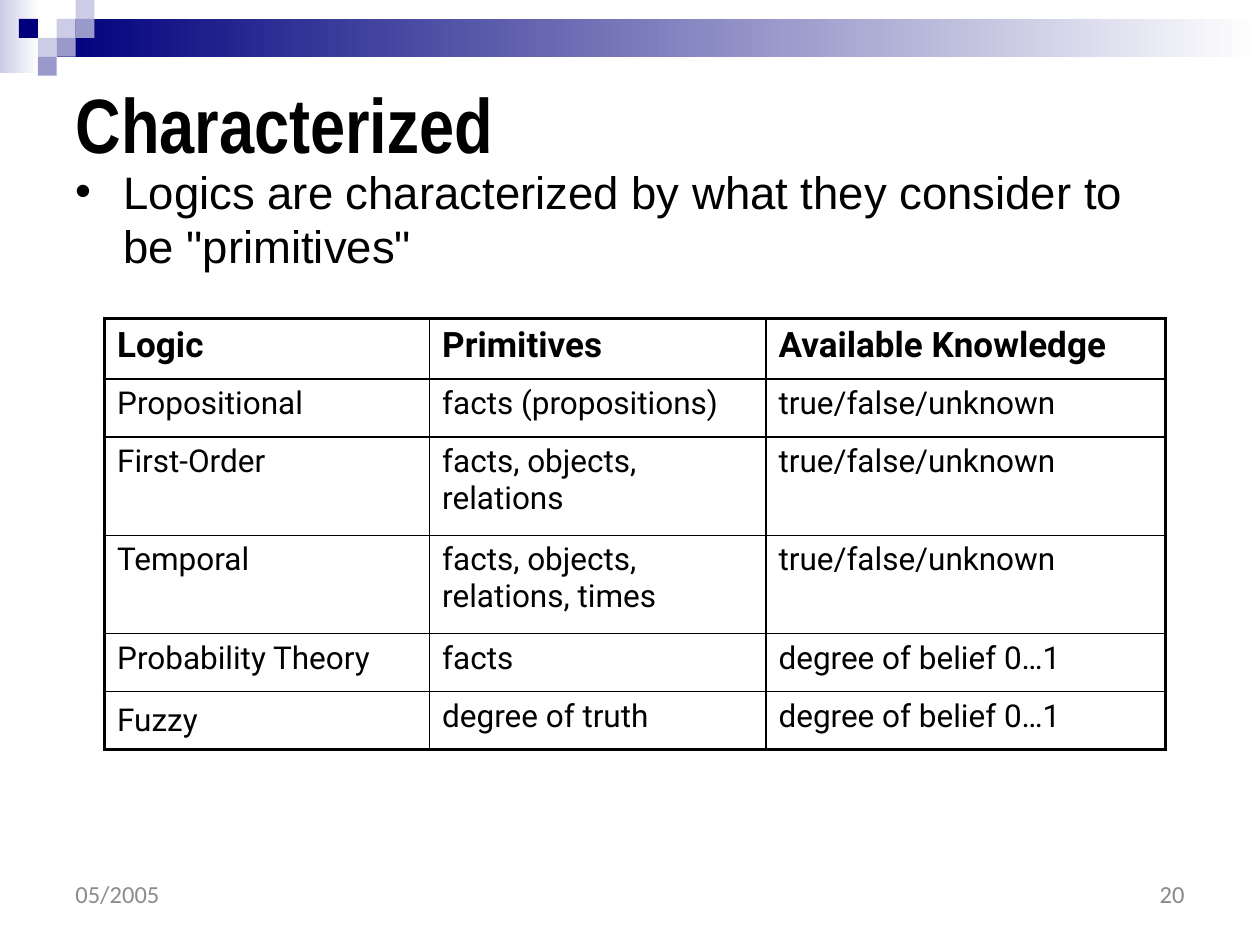
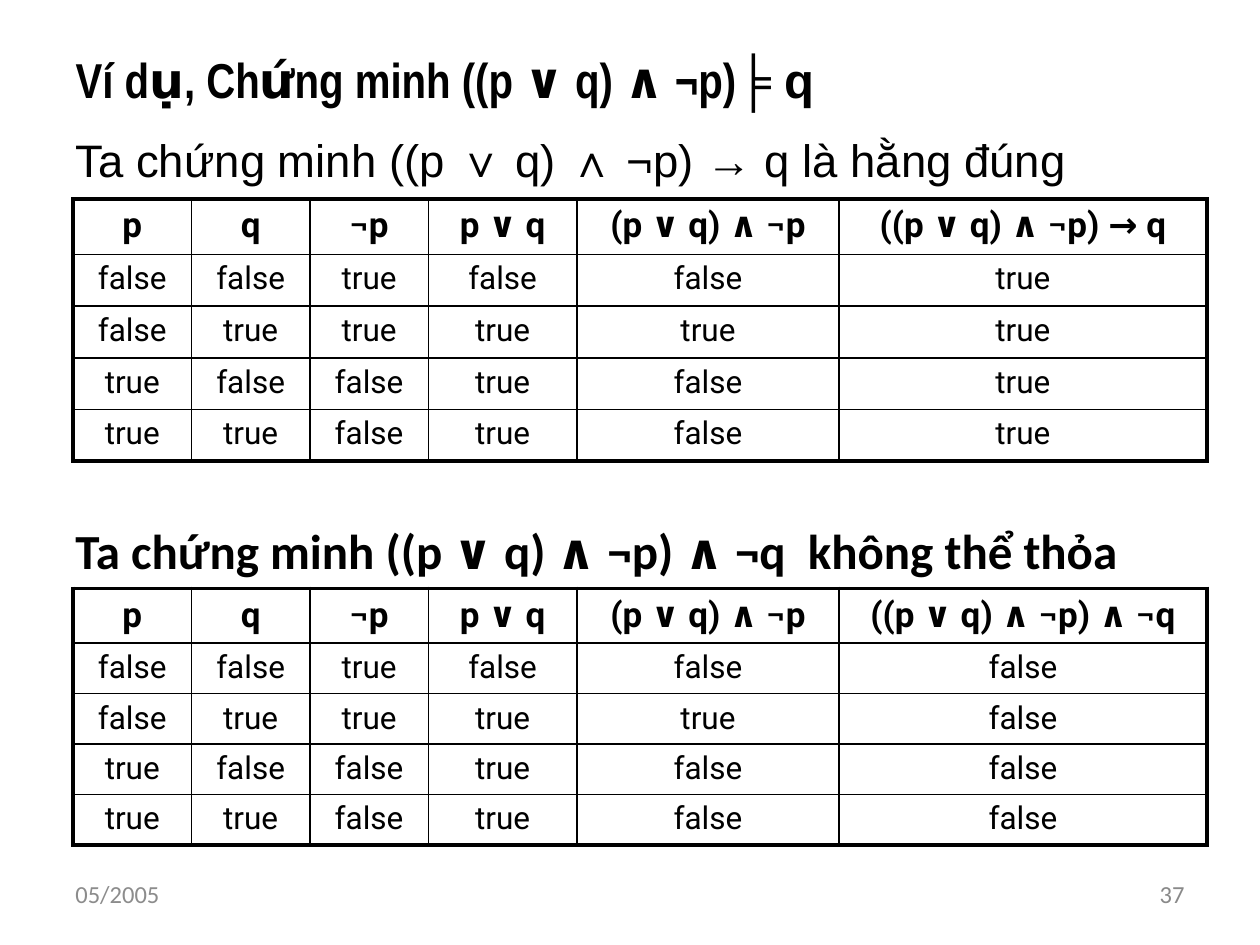
import dataclasses
import itertools
import typing

import lxml.etree
import pptx
import pptx.dml.color
import pptx.enum.shapes
import pptx.enum.text
import pptx.oxml.ns
import pptx.util

Inches = pptx.util.Inches
Pt = pptx.util.Pt
qn = pptx.oxml.ns.qn
Align = pptx.enum.text.PP_ALIGN
Anchor = pptx.enum.text.MSO_ANCHOR

# Shared look
BLACK, WHITE = "000000", "FFFFFF"
NAVY, MID, PALE = "00007D", "9999CC", "CCCCE6"
DATE_GREY, PAGE_GREY = "8C8C8C", "898989"
THICK, THIN = 2.25, 1.0
LEFT, WIDE = 0.5, 9.0
STEP = 0.15


@dataclasses.dataclass(frozen=True)
class Box:
    x: float
    y: float
    w: float
    h: float

    def place(self) -> tuple:
        return tuple(Inches(v) for v in (self.x, self.y, self.w, self.h))


@dataclasses.dataclass(frozen=True)
class Font:
    face: str
    size: float
    bold: bool = False
    ink: str = BLACK


@dataclasses.dataclass(frozen=True)
class Grid:
    x: float
    y: float
    cols: typing.Sequence[float]
    rows: typing.Sequence[float]
    cells: typing.Sequence[typing.Sequence[str]]
    align: Align = Align.LEFT


class Tile(typing.NamedTuple):
    col: int
    row: int
    fill: str


HEAD = Font("Roboto", 20, True)
CELL = Font("Roboto", 18)
BODY = Font("Arial", 26)
TILES = [
    Tile(3, 1, PALE), Tile(4, 0, PALE), Tile(4, 1, MID), Tile(2, 2, PALE),
    Tile(1, 1, NAVY), Tile(3, 2, MID), Tile(2, 3, MID),
]


def color(code: str) -> pptx.dml.color.RGBColor:
    return pptx.dml.color.RGBColor.from_string(code)


# Text
def style(run, font: Font) -> None:
    run.font.name = font.face
    run.font.size = Pt(font.size)
    run.font.bold = font.bold
    run.font.color.rgb = color(font.ink)


def write(frame, text: str, font: Font, align=Align.LEFT):
    frame.text = text
    par = frame.paragraphs[0]
    par.alignment = align
    style(par.runs[0], font)
    return par


def fill_holder(holder, box: Box, text: str, font: Font, anchor):
    holder.left, holder.top, holder.width, holder.height = box.place()
    frame = holder.text_frame
    frame.word_wrap = True
    frame.auto_size = pptx.enum.text.MSO_AUTO_SIZE.NONE
    frame.vertical_anchor = anchor
    return write(frame, text, font)


def add_title(slide, box: Box, text: str, size: float):
    font = Font("Arial Narrow", size, True)
    return fill_holder(slide.shapes.title, box, text, font, Anchor.MIDDLE)


def add_body(slide, box: Box, text: str, bullet: bool) -> None:
    par = fill_holder(slide.placeholders[1], box, text, BODY, Anchor.TOP)
    par.space_before = Pt(8)
    props = par._p.get_or_add_pPr()
    hang = Inches(0.38) if bullet else 0
    props.set("marL", str(hang))
    props.set("indent", str(-hang))
    if bullet:
        lxml.etree.SubElement(props, qn("a:buChar")).set("char", "•")
    else:
        lxml.etree.SubElement(props, qn("a:buNone"))


def add_text(slide, box: Box, text: str, font: Font,
             align=Align.LEFT, anchor=Anchor.TOP) -> None:
    frame = slide.shapes.add_textbox(*box.place()).text_frame
    frame.word_wrap = True
    frame.vertical_anchor = anchor
    write(frame, text, font, align)


def add_foot(slide, page: str) -> None:
    for x, text, ink, align in (
        (LEFT, "05/2005", DATE_GREY, Align.LEFT),
        (7.17, page, PAGE_GREY, Align.RIGHT),
    ):
        add_text(slide, Box(x, 6.92, 2.33, 0.35), text,
                 Font("Calibri", 14, ink=ink), align, Anchor.MIDDLE)


# Top band
def add_rect(slide, box: Box, fill: str, fade: bool = False) -> None:
    kind = pptx.enum.shapes.MSO_SHAPE.RECTANGLE
    rect = slide.shapes.add_shape(kind, *box.place())
    rect.shadow.inherit = False
    rect.line.fill.background()
    if not fade:
        rect.fill.solid()
        rect.fill.fore_color.rgb = color(fill)
        return
    rect.fill.gradient()
    rect.fill.gradient_angle = 0
    for stop, code, spot in zip(rect.fill.gradient_stops, (fill, WHITE), (0, 1)):
        stop.color.rgb = color(code)
        stop.position = spot


def add_band(slide) -> None:
    add_rect(slide, Box(0, 0, 0.31, 0.58), PALE, fade=True)
    add_rect(slide, Box(0.45, 0.15, 9.55, 0.3), NAVY, fade=True)
    for tile in TILES:
        spot = Box(tile.col * STEP, tile.row * STEP, STEP, STEP)
        add_rect(slide, spot, tile.fill)


# Tables
def add_edge(cell, side: str, width: float) -> None:
    props = cell._tc.get_or_add_tcPr()
    line = lxml.etree.SubElement(props, qn(f"a:ln{side}"))
    line.set("w", str(Pt(width)))
    fill = lxml.etree.SubElement(line, qn("a:solidFill"))
    lxml.etree.SubElement(fill, qn("a:srgbClr")).set("val", BLACK)


def add_grid(slide, grid: Grid):
    last_row, last_col = len(grid.rows) - 1, len(grid.cols) - 1
    box = Box(grid.x, grid.y, sum(grid.cols), sum(grid.rows))
    table = slide.shapes.add_table(
        len(grid.rows), len(grid.cols), *box.place()).table
    table.first_row = table.horz_banding = False
    for col, width in zip(table.columns, grid.cols):
        col.width = Inches(width)
    for row, height in zip(table.rows, grid.rows):
        row.height = Inches(height)
    for r, c in itertools.product(range(last_row + 1), range(last_col + 1)):
        cell = table.cell(r, c)
        write(cell.text_frame, grid.cells[r][c], CELL if r else HEAD, grid.align)
        outer = {"L": c == 0, "R": c == last_col, "T": r == 0, "B": r == last_row}
        for side, thick in outer.items():
            add_edge(cell, side, THICK if thick else THIN)
        cell.fill.background()
    return table


def truth_rows(goal: str, test: typing.Callable[[bool, bool], bool]) -> list:
    rows = [["p", "q", "¬p", "p ∨ q", "(p ∨ q) ∧ ¬p", goal]]
    for p, q in itertools.product((False, True), repeat=2):
        facts = (p, q, not p, p or q, (p or q) and not p, test(p, q))
        rows.append([str(fact).lower() for fact in facts])
    return rows


# Slides
def build_logics(slide) -> None:
    add_band(slide)
    add_title(slide, Box(LEFT, 0.45, WIDE, 1.05), "Characterized", 44)
    add_body(slide, Box(LEFT, 1.25, WIDE, 1.02),
             'Logics are characterized by what they consider to be "primitives"',
             bullet=True)
    known, belief = "true/false/unknown", "degree of belief 0…1"
    cells = [
        ("Logic", "Primitives", "Available Knowledge"),
        ("Propositional", "facts (propositions)", known),
        ("First-Order", "facts, objects, relations", known),
        ("Temporal", "facts, objects, relations, times", known),
        ("Probability Theory", "facts", belief),
        ("Fuzzy", "degree of truth", belief),
    ]
    table = add_grid(slide, Grid(0.83, 2.53, (2.58, 2.67, 3.17),
                                 (0.48, 0.46, 0.78, 0.78, 0.46, 0.46), cells))
    table.cell(5, 0).vertical_anchor = Anchor.MIDDLE
    add_foot(slide, "20")


def build_proof(slide) -> None:
    title = add_title(slide, Box(LEFT, 0.25, WIDE, 0.75),
                      "Ví dụ, Chứng minh ((p ∨ q) ∧ ¬p)", 28)
    claim = title.add_run()
    claim.text = "╞ q"
    style(claim, Font("Arial", 28, True))
    add_body(slide, Box(LEFT, 1, WIDE, 0.5),
             "Ta chứng minh ((p ∨ q) ∧ ¬p) → q là hằng đúng", bullet=False)
    add_text(slide, Box(LEFT, 4.08, WIDE, 0.5),
             "Ta chứng minh ((p ∨ q) ∧ ¬p) ∧ ¬q  không thể thỏa",
             Font("Calibri", 28, True))
    cols = (0.94, 0.94, 0.94, 1.18, 2.08, 2.92)
    proofs = [
        (1.58, 0.44, 0.41, "((p ∨ q) ∧ ¬p) → q",
         lambda p, q: not ((p or q) and not p) or q),
        (4.67, 0.43, 0.4, "((p ∨ q) ∧ ¬p) ∧ ¬q",
         lambda p, q: (p or q) and not p and not q),
    ]
    for y, head, row, goal, test in proofs:
        add_grid(slide, Grid(0.58, y, cols, [head] + [row] * 4,
                             truth_rows(goal, test), Align.CENTER))
    add_foot(slide, "37")


def main() -> None:
    deck = pptx.Presentation()
    deck.slide_width, deck.slide_height = Inches(10), Inches(7.5)
    for build in (build_logics, build_proof):
        build(deck.slides.add_slide(deck.slide_layouts[1]))
    deck.save("out.pptx")


if __name__ == "__main__":
    main()
